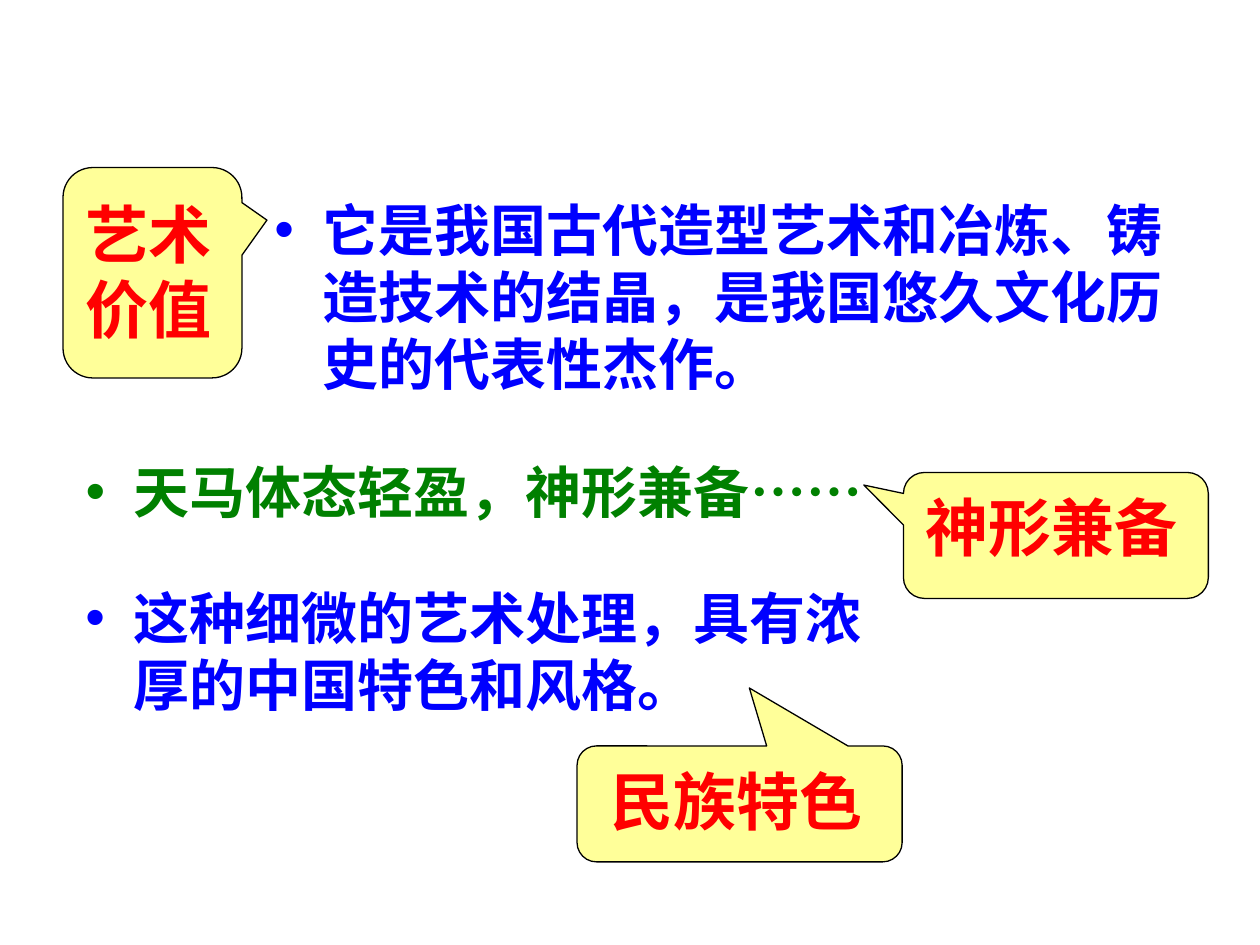
from dataclasses import dataclass

from lxml import etree
from pptx import Presentation
from pptx.dml.color import RGBColor
from pptx.enum.shapes import MSO_SHAPE
from pptx.enum.text import MSO_ANCHOR, MSO_AUTO_SIZE
from pptx.oxml.ns import qn
from pptx.util import Inches, Pt

CALLOUT = MSO_SHAPE.ROUNDED_RECTANGULAR_CALLOUT
TOP = MSO_ANCHOR.TOP
NO_AUTOFIT = MSO_AUTO_SIZE.NONE
CONTENT_LAYOUT = 1


@dataclass(frozen=True)
class Theme:
    blue: str = "0000FF"
    green: str = "008000"
    red: str = "FF0000"
    yellow: str = "FFFF99"
    black: str = "000000"
    latin_font: str = "Arial"
    chinese_font: str = "Noto Sans CJK SC"
    body_size: int = 32
    label_size: int = 36
    outline: float = 0.75
    bullet_indent: float = 0.38


THEME = Theme()


def place(shape, box):
    for name, value in zip(("left", "top", "width", "height"), box):
        setattr(shape, name, Inches(value))


def add_run(paragraph, text, size, color, font_name=THEME.latin_font):
    run = paragraph.add_run()
    run.text = text
    formats = {"size": Pt(size), "bold": True, "name": font_name}
    for name, value in formats.items():
        setattr(run.font, name, value)
    run.font.color.rgb = RGBColor.from_string(color)
    east_asian = etree.SubElement(run.font._element, qn("a:ea"))
    east_asian.set("typeface", THEME.chinese_font)


def start_paragraph(shape):
    """Prepare the text frame and return its first paragraph."""
    frame = shape.text_frame
    formats = {"word_wrap": True, "auto_size": NO_AUTOFIT, "vertical_anchor": TOP}
    for name, value in formats.items():
        setattr(frame, name, value)
    paragraph = frame.paragraphs[0]
    paragraph.space_before = Pt(0)
    return paragraph


def set_bullet(paragraph, color):
    properties = paragraph._p.get_or_add_pPr()
    indent = Inches(THEME.bullet_indent)
    properties.set("marL", str(indent))
    properties.set("indent", str(-indent))
    bullet_color = etree.SubElement(properties, qn("a:buClr"))
    etree.SubElement(bullet_color, qn("a:srgbClr")).set("val", color)
    etree.SubElement(properties, qn("a:buFont")).set("typeface", THEME.latin_font)
    etree.SubElement(properties, qn("a:buChar")).set("char", "•")


def write_bullet(shape, text, color):
    paragraph = start_paragraph(shape)
    set_bullet(paragraph, color)
    add_run(paragraph, text, THEME.body_size, color)
    return paragraph


def add_text_box(slide, box):
    return slide.shapes.add_textbox(*map(Inches, box))


def add_callout(slide, box, tail):
    """Add a speech bubble; tail is the tip's offset from the centre, in widths and heights."""
    shape = slide.shapes.add_shape(CALLOUT, *map(Inches, box))
    shape.shadow.inherit = False
    shape.adjustments[0], shape.adjustments[1] = tail
    shape.fill.solid()
    shape.fill.fore_color.rgb = RGBColor.from_string(THEME.yellow)
    shape.line.color.rgb = RGBColor.from_string(THEME.black)
    shape.line.width = Pt(THEME.outline)


def add_label(slide, text, box):
    paragraph = start_paragraph(add_text_box(slide, box))
    add_run(paragraph, text, THEME.label_size, THEME.red)


def main():
    presentation = Presentation()
    presentation.slide_width, presentation.slide_height = Inches(10), Inches(7.5)
    slide = presentation.slides.add_slide(presentation.slide_layouts[CONTENT_LAYOUT])
    title = slide.shapes.title._element
    title.getparent().remove(title)

    callouts = [
        ("神形兼备", (7.17, 3.75, 2.42, 1), (-0.63, -0.4), (7.25, 3.83, 2.33, 0.7)),
        ("民族特色", (4.58, 5.92, 2.58, 0.92), (0.03, -1), (4.75, 6, 2.5, 0.7)),
        ("艺术价值", (0.5, 1.33, 1.42, 1.67), (0.64, -0.25), (0.58, 1.5, 1.42, 1.3)),
    ]
    for text, bubble_box, tail, label_box in callouts:
        add_callout(slide, bubble_box, tail)
        add_label(slide, text, label_box)

    body = slide.placeholders[1]
    place(body, (0.58, 3.58, 6.75, 0.75))
    paragraph = write_bullet(body, "天马体态轻盈，神形兼备", THEME.green)
    add_run(paragraph, "……", THEME.body_size, THEME.green, THEME.chinese_font)

    blue_points = [
        ("它是我国古代造型艺术和冶炼、铸造技术的结晶，是我国悠久文化历史的代表性杰作。",
         (2.08, 1.5, 7.42, 1.75)),
        ("这种细微的艺术处理，具有浓厚的中国特色和风格。", (0.58, 4.58, 6.42, 1.25)),
    ]
    for text, box in blue_points:
        write_bullet(add_text_box(slide, box), text, THEME.blue)

    presentation.save("out.pptx")


if __name__ == "__main__":
    main()
